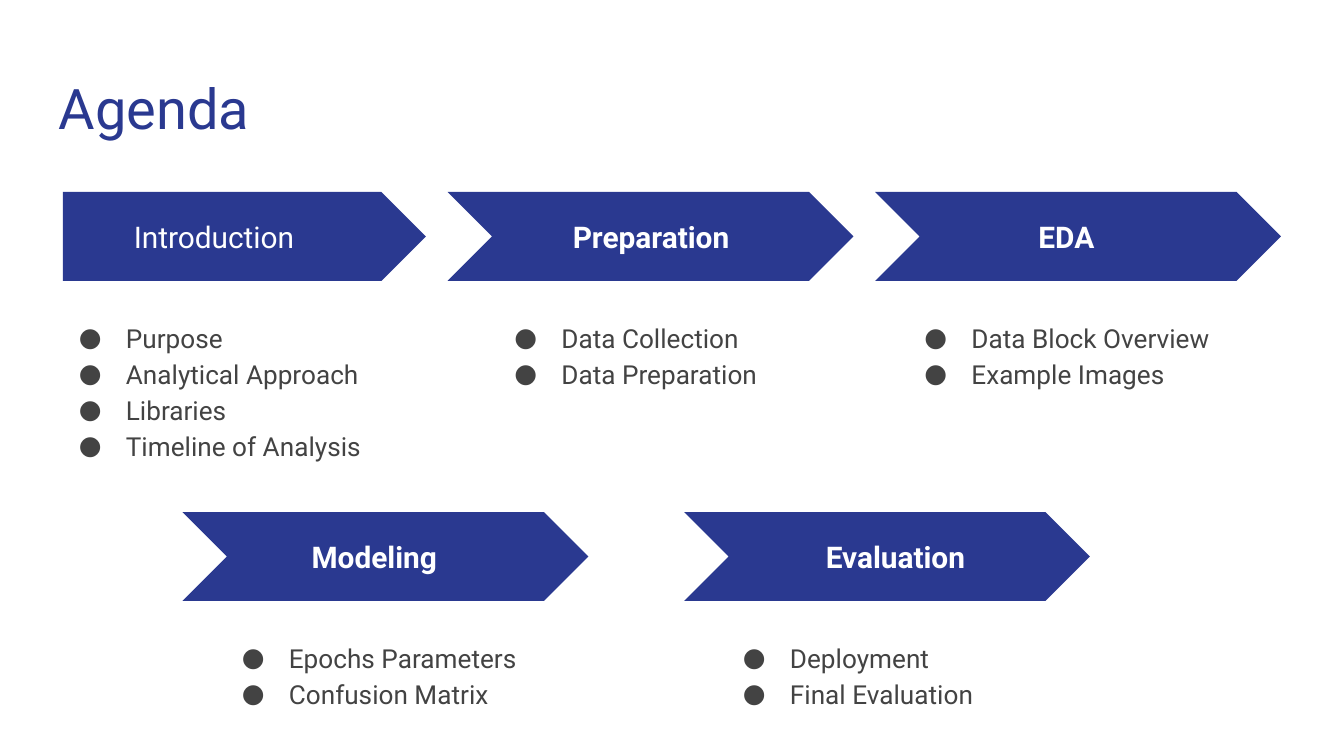
"""Build the agenda slide: five arrow-shaped stages, each with its bulleted topics."""
from dataclasses import dataclass

from lxml.etree import SubElement
from pptx import Presentation
from pptx.dml.color import RGBColor
from pptx.enum.shapes import MSO_SHAPE as Shape
from pptx.enum.text import MSO_ANCHOR as Anchor, PP_ALIGN as Align
from pptx.oxml.ns import qn
from pptx.util import Cm, Pt


@dataclass(frozen=True)
class Theme:
    """Colours, typeface and type sizes of the deck."""
    font: str = "Roboto"
    accent: str = "2A3990"
    body: str = "434343"
    light: str = "FFFFFF"
    title_size: int = 30
    label_size: int = 16
    list_size: int = 14


@dataclass(frozen=True)
class Stage:
    """One agenda stage, with its places in centimetres."""
    name: str
    topics: tuple
    top: float
    arrow_left: float
    label_left: float
    list_left: float
    list_width: float
    list_height: float
    first: bool = False


THEME = Theme()
UPPER, LOWER = 3.63, 9.68
ARROW_HEIGHT = 1.68
LABEL_WIDTH, LABEL_HEIGHT = 6.27, 0.86
LIST_DROP = 2.12
STAGES = (
    Stage("Introduction",
          ("Purpose", "Analytical Approach", "Libraries", "Timeline of Analysis"),
          UPPER, 1.19, 0.91, 0.86, 6.86, 3.48, first=True),
    Stage("Preparation", ("Data Collection", "Data Preparation"),
          UPPER, 8.46, 9.17, 9.09, 8.94, 3.48),
    Stage("EDA", ("Data Block Overview", "Example Images"),
          UPPER, 16.54, 17.02, 16.84, 7.37, 3.3),
    Stage("Modeling", ("Epochs Parameters", "Confusion Matrix"),
          LOWER, 3.45, 3.94, 3.94, 8.38, 2.26),
    Stage("Evaluation", ("Deployment", "Final Evaluation"),
          LOWER, 12.93, 13.79, 13.41, 8.38, 2.26),
)


def add_bullet(para, color):
    """Give a paragraph a hanging round bullet."""
    props = para._p.get_or_add_pPr()
    props.set("marL", str(Cm(1.27)))
    props.set("indent", str(-Cm(0.89)))
    SubElement(SubElement(props, qn("a:buClr")), qn("a:srgbClr"), val=color)
    SubElement(props, qn("a:buFont"), typeface=THEME.font)
    SubElement(props, qn("a:buChar"), char="●")


def add_text(page, lines, left, top, width, height, *, size, color, bold=False,
             align=Align.LEFT, anchor=Anchor.TOP, bullets=False, spacing=None):
    """Add a text box with one paragraph for each line."""
    box = page.shapes.add_textbox(Cm(left), Cm(top), Cm(width), Cm(height))
    frame = box.text_frame
    frame.word_wrap = True
    frame.vertical_anchor = anchor
    frame.margin_left = frame.margin_right = Cm(0.25)
    frame.margin_top = frame.margin_bottom = Cm(0.25)
    for index, line in enumerate(lines):
        para = frame.add_paragraph() if index else frame.paragraphs[0]
        if bullets:
            add_bullet(para, color)
        para.alignment = align
        para.line_spacing = spacing
        span = para.add_run()
        span.text = line
        span.font.name = THEME.font
        span.font.size = Pt(size)
        span.font.bold = bold
        span.font.color.rgb = RGBColor.from_string(color)


def add_arrow(page, kind, left, top, width):
    """Add a plain arrow-shaped banner."""
    arrow = page.shapes.add_shape(kind, Cm(left), Cm(top), Cm(width), Cm(ARROW_HEIGHT))
    arrow.adjustments[0] = 0.5
    arrow.shadow.inherit = False
    arrow.fill.solid()
    arrow.fill.fore_color.rgb = RGBColor.from_string(THEME.accent)
    arrow.line.fill.background()


def add_stage(page, stage):
    """Add the banner, label and topics of one stage."""
    kind, width = (Shape.PENTAGON, 6.86) if stage.first else (Shape.CHEVRON, 7.67)
    add_arrow(page, kind, stage.arrow_left, stage.top, width)
    add_text(page, [stage.name], stage.label_left,
             stage.top + (ARROW_HEIGHT - LABEL_HEIGHT) / 2, LABEL_WIDTH, LABEL_HEIGHT,
             size=THEME.label_size, color=THEME.light, bold=not stage.first,
             align=Align.CENTER, anchor=Anchor.MIDDLE)
    add_text(page, stage.topics, stage.list_left, stage.top + LIST_DROP,
             stage.list_width, stage.list_height, size=THEME.list_size,
             color=THEME.body, bullets=True, spacing=1.15)


def main():
    """Build and save the deck."""
    deck = Presentation()
    deck.slide_width, deck.slide_height = Cm(25.4), Cm(14.29)
    page = deck.slides.add_slide(deck.slide_layouts[6])
    add_text(page, ["Agenda"], 0.86, 1.14, 23.67, 1.68,
             size=THEME.title_size, color=THEME.accent)
    for stage in STAGES:
        add_stage(page, stage)
    deck.save("out.pptx")


if __name__ == "__main__":
    main()
